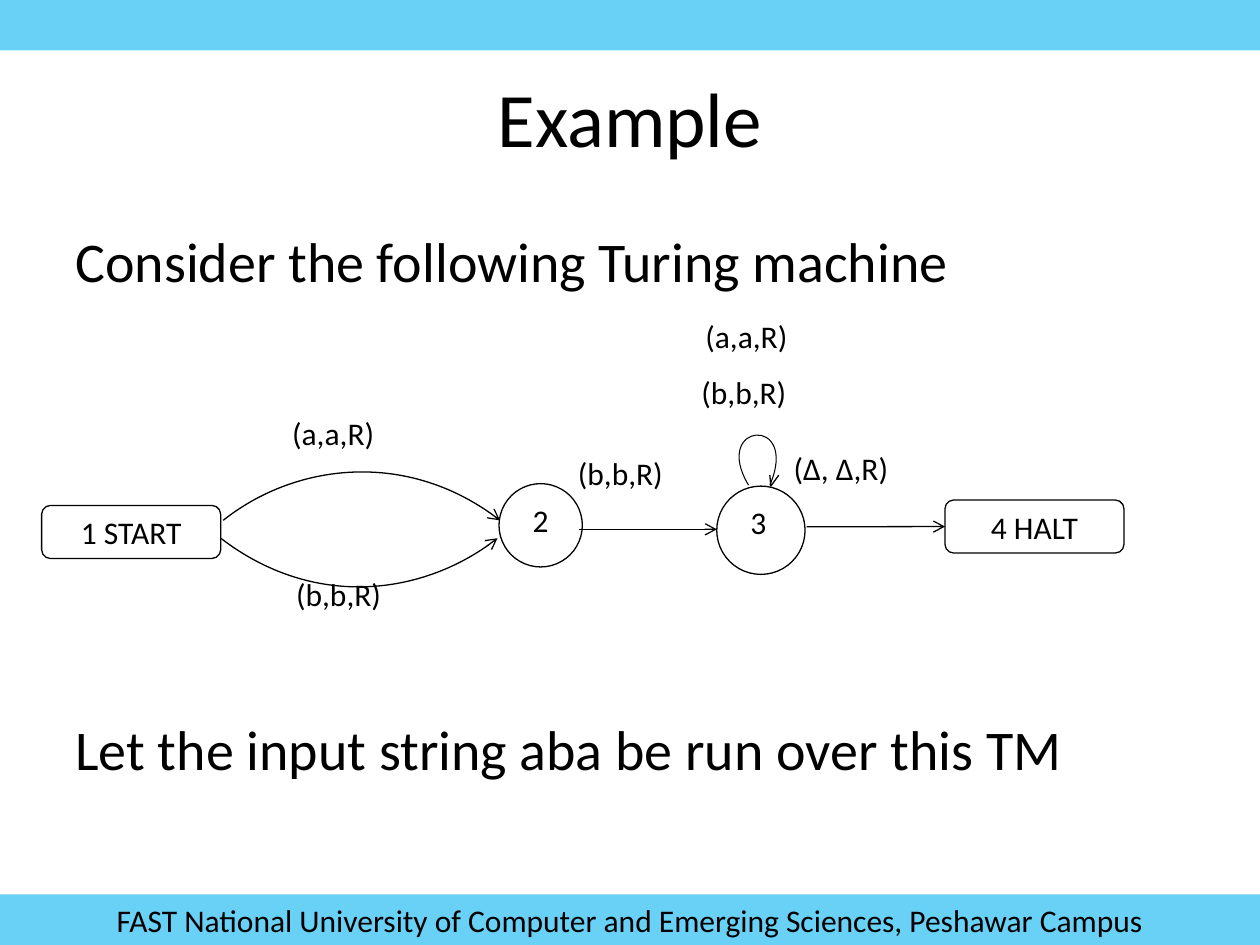
from typing import NamedTuple

import pptx
import pptx.dml.color
import pptx.enum.shapes
import pptx.enum.text
import pptx.oxml
import pptx.oxml.ns
import pptx.util
from lxml import etree

Cm, Pt = pptx.util.Cm, pptx.util.Pt
qn = pptx.oxml.ns.qn
RGBColor = pptx.dml.color.RGBColor
SHAPE = pptx.enum.shapes.MSO_SHAPE
ALIGN = pptx.enum.text.PP_ALIGN
ANCHOR = pptx.enum.text.MSO_ANCHOR

BLACK = RGBColor(0, 0, 0)
WHITE = RGBColor(255, 255, 255)
SKY = RGBColor(0x00, 0xB0, 0xF0)
FONT = "Calibri"
WIDTH, HEIGHT, BAND = 25.4, 19.05, 1.02
LABEL_W, LABEL_H = 4.34, 1.17
STATE_W, STATE_H = 3.61, 1.07


class Text(NamedTuple):
    text: str
    x: float
    y: float
    w: float = LABEL_W
    h: float = LABEL_H
    size: int = 18
    align: ALIGN = ALIGN.LEFT
    anchor: ANCHOR = ANCHOR.TOP


class Circle(NamedTuple):
    x: float
    y: float
    d: float


class Curve(NamedTuple):
    """Cubic curve: start, two control points, end, as (x, y) in cm."""
    points: tuple
    width: float = 0.75
    arrow: bool = True


HEADINGS = [
    Text("Example", 1.27, 0.76, 22.86, 3.18, 44, ALIGN.CENTER, ANCHOR.MIDDLE),
    Text("Consider the following Turing machine", 1.27, 4.45, 22.86, 1.8, 32),
    Text("Let the input string aba be run over this TM", 1.27, 14.27, 22.86, 1.8, 32),
]
LABELS = [
    Text("(a,a,R)", 5.64, 8.23),
    Text("(b,b,R)", 5.72, 11.46),
    Text("(b,b,R)", 11.4, 9.02),
    Text("(b,b,R)", 13.89, 7.39),
    Text("(a,a,R)", 13.97, 6.27),
    Text("(∆, ∆,R)", 15.75, 8.92),
    Text("2", 10.49, 9.98, 1.27, 1.02),
    Text("3", 14.88, 10.01, 1.04, 1.02),
]
CIRCLES = [Circle(10.06, 9.75, 1.68), Circle(14.45, 9.8, 1.78)]
CURVES = [
    Curve(((15.09, 9.78), (14.33, 8.51), (16.13, 8.36), (15.52, 9.78)), 0.6, False),
    Curve(((4.5, 10.49), (5.94, 9.35), (8.26, 9.07), (10.08, 10.49))),
    Curve(((4.45, 10.85), (6.3, 12.27), (8.61, 11.98), (10.03, 10.85))),
]
LOOP_HEAD = ((15.7, 9.58), (15.54, 9.8), (15.52, 9.58))


def write(sp, item: Text) -> None:
    tf = sp.text_frame
    tf.text = item.text
    tf.word_wrap = True
    tf.vertical_anchor = item.anchor
    p = tf.paragraphs[0]
    p.alignment = item.align
    r = p.runs[0]
    r.font.name = FONT
    r.font.size = Pt(item.size)
    r.font.color.rgb = BLACK


def add_text(s, item: Text) -> None:
    write(s.shapes.add_textbox(Cm(item.x), Cm(item.y), Cm(item.w), Cm(item.h)), item)


def add_band(s, y: float):
    sp = s.shapes.add_shape(SHAPE.RECTANGLE, 0, Cm(y), Cm(WIDTH), Cm(BAND))
    sp.shadow.inherit = False
    sp.fill.solid()
    sp.fill.fore_color.rgb = SKY
    color = sp._element.spPr.find(".//" + qn("a:srgbClr"))
    etree.SubElement(color, qn("a:alpha"), val="59000")
    sp.line.fill.background()
    return sp


def outline(sp, width: float = 0.75, arrow: bool = False) -> None:
    sp.line.color.rgb = BLACK
    sp.line.width = Pt(width)
    if arrow:
        ln = sp._element.spPr.find(qn("a:ln"))
        etree.SubElement(ln, qn("a:tailEnd"), type="arrow")


def add_circle(s, circle: Circle) -> None:
    sp = s.shapes.add_shape(SHAPE.OVAL, Cm(circle.x), Cm(circle.y),
                            Cm(circle.d), Cm(circle.d))
    sp.shadow.inherit = False
    sp.fill.solid()
    sp.fill.fore_color.rgb = WHITE
    outline(sp)


def add_state(s, text: str, x: float, y: float):
    sp = s.shapes.add_shape(SHAPE.ROUNDED_RECTANGLE, Cm(x), Cm(y),
                            Cm(STATE_W), Cm(STATE_H))
    sp.shadow.inherit = False
    sp.fill.background()
    outline(sp)
    write(sp, Text(text, x, y, align=ALIGN.CENTER, anchor=ANCHOR.MIDDLE))
    return sp


def add_open_outline(s, points: tuple):
    start, *rest = [(Cm(x), Cm(y)) for x, y in points]
    builder = s.shapes.build_freeform(*start)
    builder.add_line_segments(rest, close=False)
    sp = builder.convert_to_shape()
    sp.shadow.inherit = False
    sp.fill.background()
    return sp


def add_curve(s, curve: Curve) -> None:
    """Draw the control polygon, then turn its segments into one cubic curve."""
    sp = add_open_outline(s, curve.points)
    segments = list(sp._element.iter(qn("a:lnTo")))
    bezier = etree.SubElement(segments[0].getparent(), qn("a:cubicBezTo"))
    for segment in segments:
        bezier.append(segment[0])
        segment.getparent().remove(segment)
    outline(sp, curve.width, curve.arrow)


def add_arrow(s, x1: float, x2: float, y: float):
    line = s.shapes.add_connector(pptx.enum.shapes.MSO_CONNECTOR.STRAIGHT,
                                  Cm(x1), Cm(y), Cm(x2), Cm(y))
    outline(line, arrow=True)
    etree.SubElement(line._element.spPr, qn("a:effectLst"))
    return line


def main() -> None:
    prs = pptx.Presentation()
    prs.slide_width, prs.slide_height = Cm(WIDTH), Cm(HEIGHT)
    s = prs.slides.add_slide(prs.slide_layouts[6])

    add_band(s, 0)
    footer = add_band(s, HEIGHT - BAND)
    write(footer, Text("FAST National University of Computer and Emerging Sciences, "
                       "Peshawar Campus", 0, 0, align=ALIGN.CENTER))
    for heading in HEADINGS:
        add_text(s, heading)

    for circle in CIRCLES:
        add_circle(s, circle)
    for curve in CURVES:
        add_curve(s, curve)
    outline(add_open_outline(s, LOOP_HEAD))
    add_state(s, "1 START", 0.84, 10.19)
    halt = add_state(s, "4 HALT", 19.05, 10.08)
    add_arrow(s, 11.68, 14.45, 10.67)
    add_arrow(s, 16.26, 19.05, 10.62).end_connect(halt, 1)
    for label in LABELS:
        add_text(s, label)

    prs.save("out.pptx")


if __name__ == "__main__":
    main()
